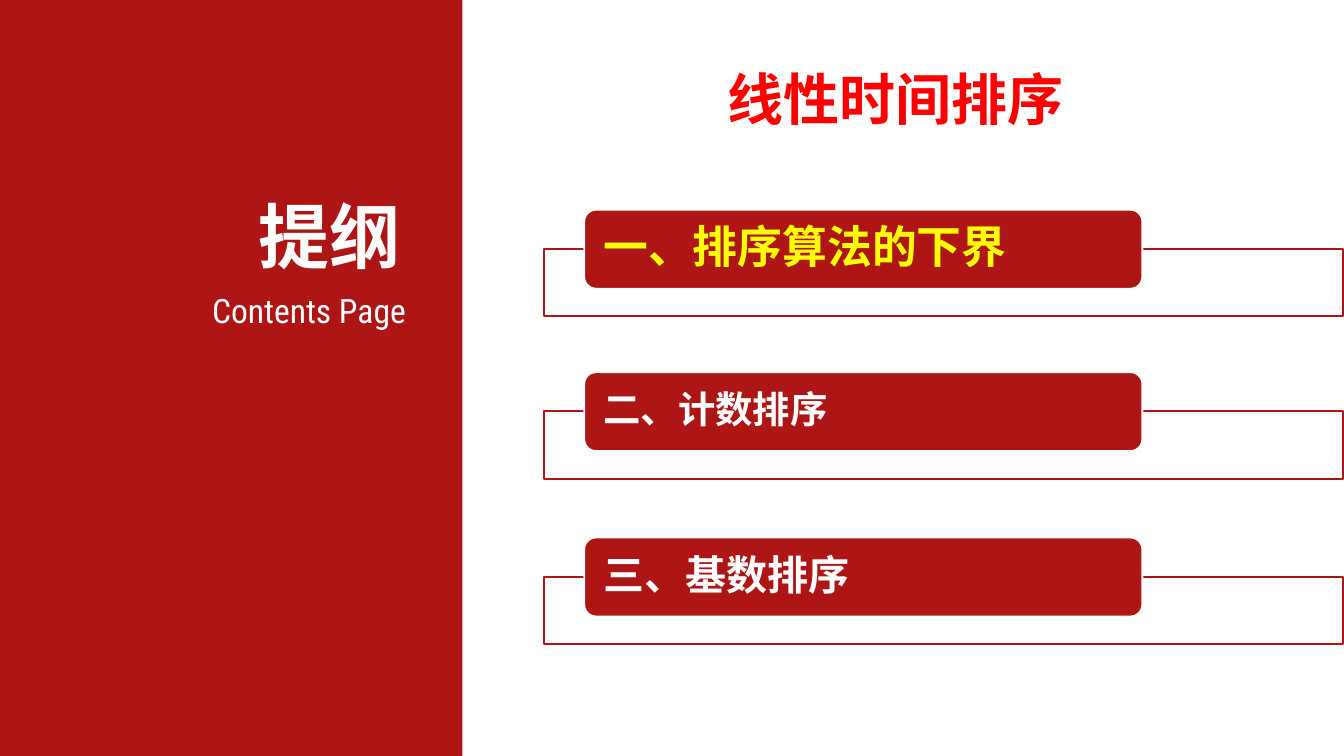
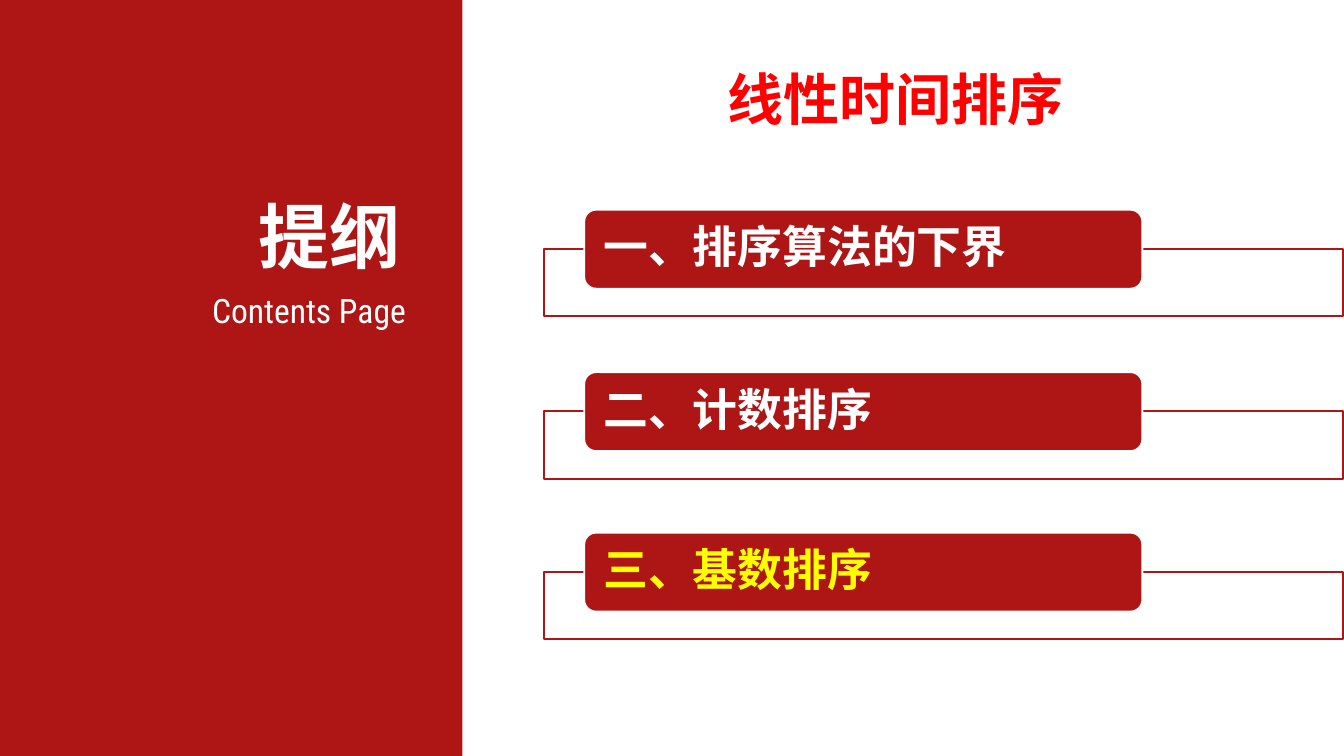
from dataclasses import dataclass

from lxml import etree
from pptx import Presentation
from pptx.dml.color import RGBColor
from pptx.enum.shapes import MSO_SHAPE
from pptx.enum.text import MSO_ANCHOR, MSO_AUTO_SIZE, PP_ALIGN
from pptx.oxml.ns import qn
from pptx.util import Pt

RECTANGLE = MSO_SHAPE.RECTANGLE
ROUNDED = MSO_SHAPE.ROUNDED_RECTANGLE
TOP = MSO_ANCHOR.TOP
MIDDLE = MSO_ANCHOR.MIDDLE
LEFT = PP_ALIGN.LEFT
CENTER = PP_ALIGN.CENTER
RIGHT = PP_ALIGN.RIGHT
GROW = MSO_AUTO_SIZE.SHAPE_TO_FIT_TEXT

CRIMSON = RGBColor(0xAE, 0x16, 0x16)
RED = RGBColor(0xFF, 0x00, 0x00)
YELLOW = RGBColor(0xFF, 0xFF, 0x00)
WHITE = RGBColor(0xFF, 0xFF, 0xFF)

CHINESE = "Noto Sans CJK SC"
PAGE_WIDTH, PAGE_HEIGHT = 720, 405
SIDEBAR_WIDTH = 247.7
FRAME_LEFT, FRAME_WIDTH, FRAME_HEIGHT = 291.6, 428, 36.2
BAR_LEFT, BAR_WIDTH, BAR_HEIGHT = 313, 299, 42.3
FRAME_DROP = 20.9


@dataclass(frozen=True)
class Area:
    left: float
    top: float
    width: float
    height: float


@dataclass(frozen=True)
class Style:
    size: float
    font: str
    color: RGBColor
    bold: bool = True
    align: PP_ALIGN = LEFT
    anchor: MSO_ANCHOR = MIDDLE
    spacing: float = 1.0
    after: float = 0
    margins: tuple[float, float] = (7.2, 3.6)


@dataclass(frozen=True)
class Label:
    text: str
    area: Area
    style: Style
    grows: bool = False


@dataclass(frozen=True)
class Entry:
    text: str
    top: float
    size: float = 24
    font: str = "Lato"
    color: RGBColor = WHITE


SIDE_MARGINS = (5, 2.9)
LABELS = (
    Label("Contents Page", Area(24.5, 152.6, 198, 27.4),
          Style(18, "Roboto Condensed", WHITE, False, RIGHT, TOP, margins=SIDE_MARGINS), True),
    Label("提纲", Area(79.2, 100.1, 140.4, 51.8),
          Style(38, "Arial", WHITE, True, RIGHT, TOP, margins=SIDE_MARGINS), True),
    Label("线性时间排序", Area(SIDEBAR_WIDTH, 0, 464.4, 87.1),
          Style(30, "Arial", RED, align=CENTER, spacing=1.5)),
)

OUTLINES = (
    (
        Entry("一、排序算法的下界", 112.4, color=YELLOW),
        Entry("二、计数排序", 199.4, 20, CHINESE),
        Entry("三、基数排序", 288, 22, CHINESE),
    ),
    (
        Entry("一、排序算法的下界", 112.4),
        Entry("二、计数排序", 199.4),
        Entry("三、基数排序", 285.4, color=YELLOW),
    ),
)


def write(shape, text: str, style: Style) -> None:
    frame = shape.text_frame
    frame.word_wrap = True
    frame.vertical_anchor = style.anchor
    side, edge = style.margins
    frame.margin_left = frame.margin_right = Pt(side)
    frame.margin_top = frame.margin_bottom = Pt(edge)
    para = frame.paragraphs[0]
    para.alignment = style.align
    para.line_spacing = style.spacing
    para.space_after = Pt(style.after)
    span = para.add_run()
    span.text = text
    span.font.size = Pt(style.size)
    span.font.name = style.font
    span.font.bold = style.bold
    span.font.color.rgb = style.color
    latin = span.font._element.find(qn("a:latin"))
    east_asian = etree.Element(qn("a:ea"), typeface=CHINESE)
    latin.addnext(east_asian)


def add_box(page, kind: MSO_SHAPE, area: Area, fill: RGBColor, line: RGBColor | None = None):
    box = page.shapes.add_shape(kind, Pt(area.left), Pt(area.top), Pt(area.width), Pt(area.height))
    box.shadow.inherit = False
    box.fill.solid()
    box.fill.fore_color.rgb = fill
    if line is None:
        box.line.fill.background()
    else:
        box.line.color.rgb = line
        box.line.width = Pt(1)
    return box


def set_opacity(box, percent: int) -> None:
    color = box._element.spPr.find(qn("a:solidFill")).find(qn("a:srgbClr"))
    etree.SubElement(color, qn("a:alpha"), val=str(percent * 1000))


def add_label(page, label: Label) -> None:
    area = label.area
    box = page.shapes.add_textbox(Pt(area.left), Pt(area.top), Pt(area.width), Pt(area.height))
    write(box, label.text, label.style)
    if label.grows:
        box.text_frame.auto_size = GROW


def add_entry(page, entry: Entry) -> None:
    frame_area = Area(FRAME_LEFT, entry.top + FRAME_DROP, FRAME_WIDTH, FRAME_HEIGHT)
    frame = add_box(page, RECTANGLE, frame_area, WHITE, CRIMSON)
    set_opacity(frame, 90)
    bar_area = Area(BAR_LEFT, entry.top, BAR_WIDTH, BAR_HEIGHT)
    bar = add_box(page, ROUNDED, bar_area, CRIMSON, WHITE)
    bar.adjustments[0] = 0.15
    style = Style(entry.size, entry.font, entry.color, spacing=0.9,
                  after=entry.size * 0.35, margins=(8.4, 0))
    write(bar, entry.text, style)


def add_outline(deck, entries: tuple[Entry, ...]) -> None:
    page = deck.slides.add_slide(deck.slide_layouts[6])
    add_box(page, RECTANGLE, Area(0, 0, SIDEBAR_WIDTH, PAGE_HEIGHT), CRIMSON)
    for entry in entries:
        add_entry(page, entry)
    for label in LABELS:
        add_label(page, label)


def main() -> None:
    deck = Presentation()
    deck.slide_width = Pt(PAGE_WIDTH)
    deck.slide_height = Pt(PAGE_HEIGHT)
    for entries in OUTLINES:
        add_outline(deck, entries)
    deck.save("out.pptx")


if __name__ == "__main__":
    main()
